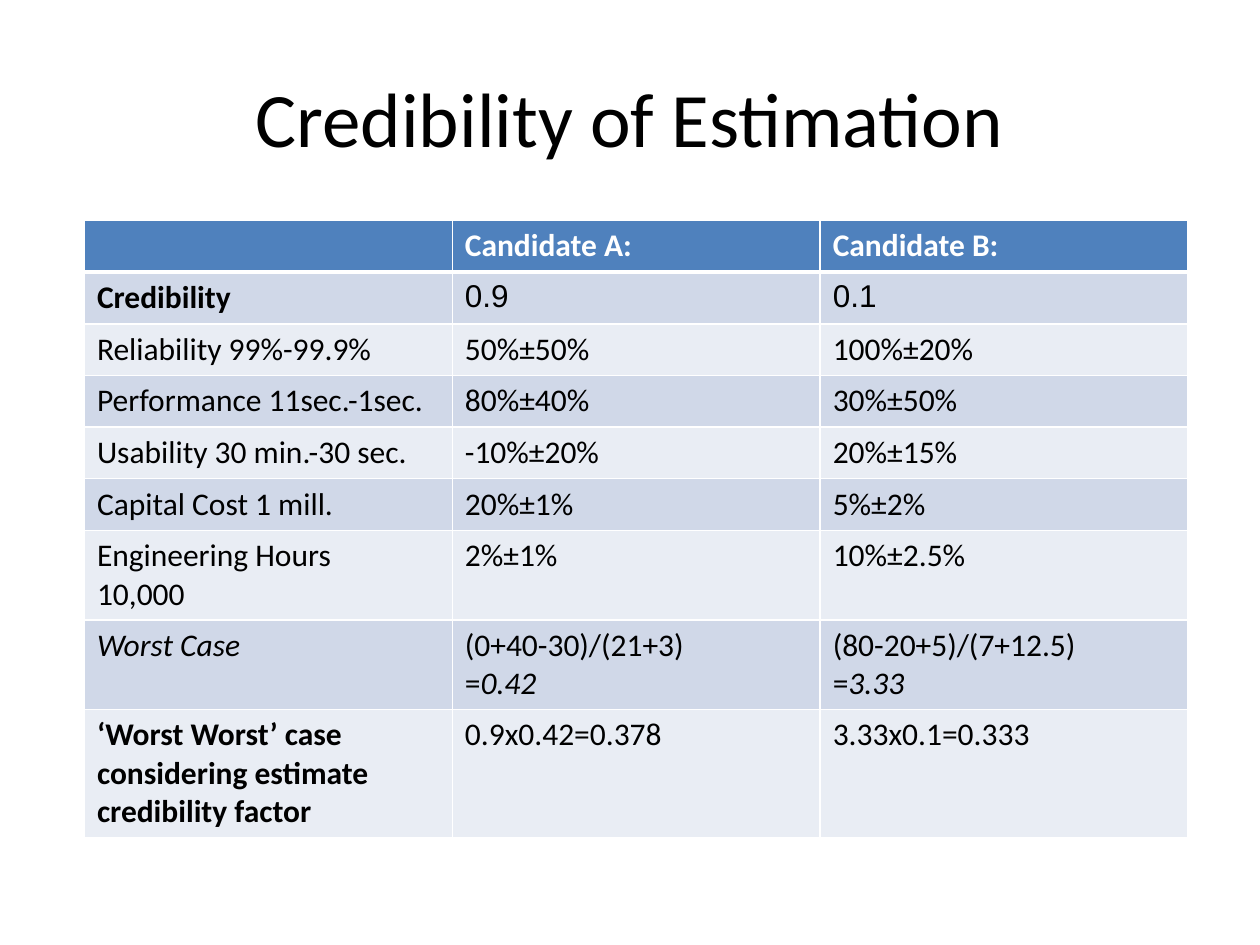
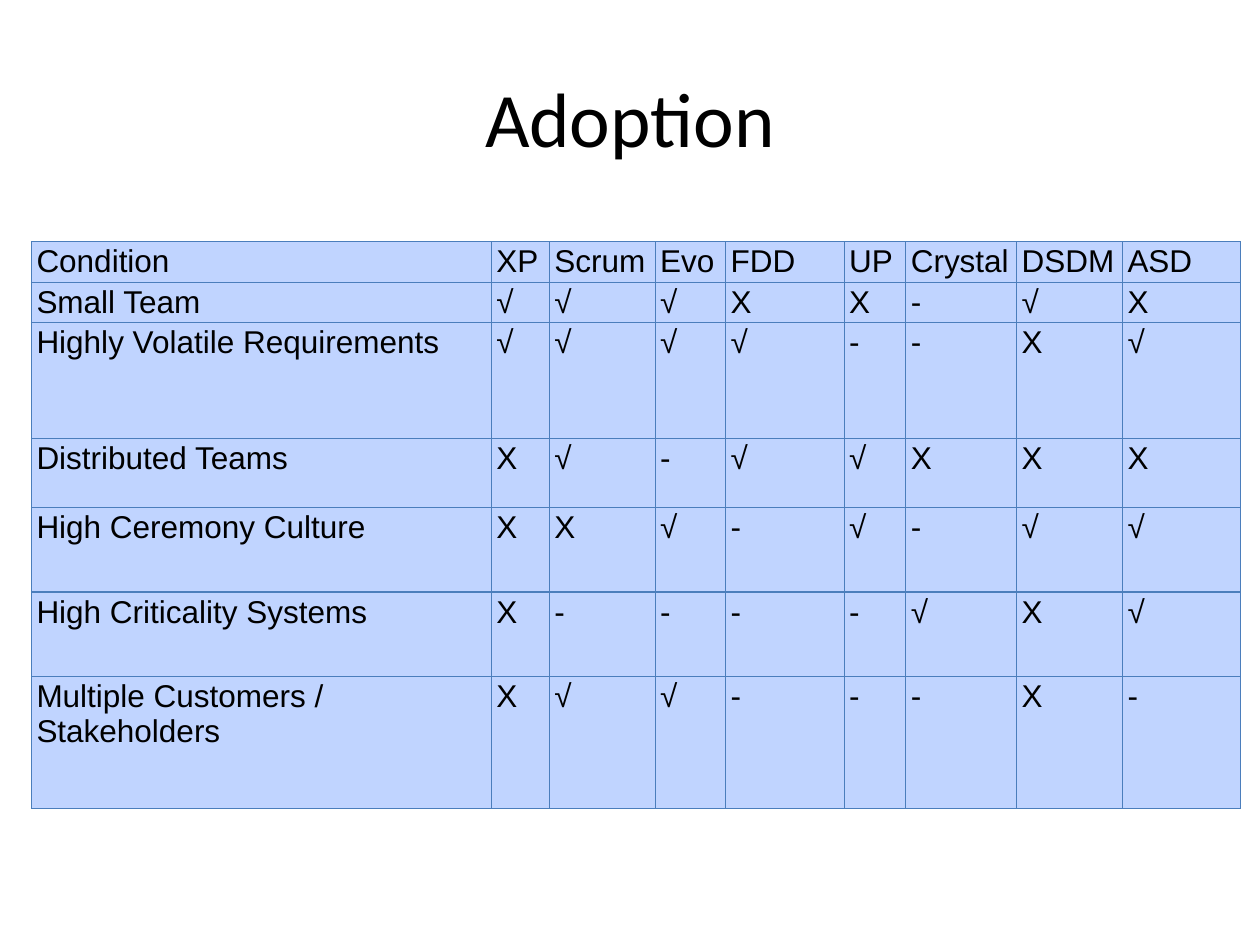
from lxml import etree
from pptx import Presentation
from pptx.dml.color import RGBColor
from pptx.enum import text
from pptx.oxml import ns
from pptx.util import Inches, Pt

HUES = {
    "ink": "000000",
    "white": "FFFFFF",
    "head": "4F81BD",
    "dark": "D0D8E8",
    "light": "E9EDF4",
    "grid": "C0D4FF",
    "line": "4B7EBC",
}
TITLE = {"name": "Calibri", "size": Pt(44)}
SANS = {"name": "Calibri", "size": Pt(18), "bold": False}
ARIAL = {**SANS, "name": "Arial"}
BOLD = {**SANS, "bold": True}

# A line break starts a paragraph, an asterisk turns italics on or off
RATES = [
    ["", "Candidate A:", "Candidate B:"],
    ["Credibility", "0.9", "0.1"],
    ["Reliability 99%-99.9%", "50%±50%", "100%±20%"],
    ["Performance 11sec.-1sec.", "80%±40%", "30%±50%"],
    ["Usability 30 min.-30 sec.", "-10%±20%", "20%±15%"],
    ["Capital Cost 1 mill.", "20%±1%", "5%±2%"],
    ["Engineering Hours\n10,000", "2%±1%", "10%±2.5%"],
    ["*Worst Case", "(0+40-30)/(21+3)\n=*0.42", "(80-20+5)/(7+12.5)\n=*3.33"],
    ["‘Worst Worst’ case\nconsidering estimate\ncredibility factor",
     "0.9x0.42=0.378", "3.33x0.1=0.333"],
]

METHODS = ["XP", "Scrum", "Evo", "FDD", "UP", "Crystal", "DSDM", "ASD"]
MARKS = {
    "Small Team": "√√√XX-√X",
    "Highly Volatile Requirements": "√√√√--X√",
    "Distributed Teams": "X√-√√XXX",
    "High Ceremony Culture": "XX√-√-√√",
    "High Criticality Systems": "X----√X√",
    "Multiple Customers / Stakeholders": "X√√---X-",
}


def style(font, hue, form):
    font.color.rgb = RGBColor.from_string(HUES[hue])
    for key, value in form.items():
        setattr(font, key, value)


def add_page(deck, title):
    page = deck.slides.add_slide(deck.slide_layouts[5])
    head = page.shapes.title
    head.left, head.top = Inches(0.5), Inches(0.3)
    head.width, head.height = Inches(9), Inches(1.25)
    head.text_frame.text = title
    head.text_frame.vertical_anchor = text.MSO_ANCHOR.MIDDLE
    para = head.text_frame.paragraphs[0]
    para.alignment = text.PP_ALIGN.CENTER
    style(para.runs[0].font, "ink", TITLE)
    return page


def add_grid(page, left, top, cols, rows):
    frame = page.shapes.add_table(
        len(rows), len(cols), Inches(left), Inches(top),
        Inches(sum(cols)), Inches(sum(rows)))
    table = frame.table
    table.first_row = table.horz_banding = False
    for col, width in zip(table.columns, cols):
        col.width = Inches(width)
    for row, height in zip(table.rows, rows):
        row.height = Inches(height)
    return table


def edge(cell, hue, **sizes):
    """Draw the four borders; they must precede the cell's fill."""
    props = cell._tc.get_or_add_tcPr()
    for side in "LRTB":
        line = etree.SubElement(props, ns.qn(f"a:ln{side}"), w=str(Pt(sizes[side])))
        fill = etree.SubElement(line, ns.qn("a:solidFill"))
        etree.SubElement(fill, ns.qn("a:srgbClr"), val=HUES[hue])


def paint(cell, hue):
    cell.fill.solid()
    cell.fill.fore_color.rgb = RGBColor.from_string(HUES[hue])


def write(cell, words, hue, form):
    frame = cell.text_frame
    for i, line in enumerate(words.split("\n")):
        para = frame.add_paragraph() if i else frame.paragraphs[0]
        for j, part in enumerate(line.split("*")):
            if part:
                run = para.add_run()
                run.text = part
                style(run.font, hue, {**form, "italic": j % 2 == 1})


def rate_form(r, c):
    if r == 0 or (c == 0 and r in (1, len(RATES) - 1)):
        return BOLD
    return ARIAL if r == 1 else SANS


def add_rates(page):
    table = add_grid(page, 0.67, 1.75, [2.92] * 3, [0.41] * len(RATES))
    for r, row in enumerate(RATES):
        fill = ("light", "dark")[r % 2] if r else "head"
        for c, words in enumerate(row):
            cell = table.cell(r, c)
            # A heavy rule parts the header from the body
            edge(cell, "white", L=1, R=1, T=3 if r == 1 else 1, B=1 if r else 3)
            paint(cell, fill)
            write(cell, words, "ink" if r else "white", rate_form(r, c))


def add_marks(page):
    cols = [3.65, 0.46, 0.84, 0.56, 0.94, 0.49, 0.88, 0.84, 0.94]
    rows = [0.29, 0.29, 0.92, 0.55, 0.67, 0.67, 1.05]
    table = add_grid(page, 0.25, 1.92, cols, rows)
    lines = [["Condition", *METHODS]]
    lines += [[name, *marks] for name, marks in MARKS.items()]
    for r, row in enumerate(lines):
        for c, words in enumerate(row):
            cell = table.cell(r, c)
            cell.margin_left = cell.margin_right = Inches(0.04)
            cell.margin_top = cell.margin_bottom = Inches(0.02)
            edge(cell, "line", **dict.fromkeys("LRTB", 0.75))
            paint(cell, "grid")
            write(cell, words, "ink", ARIAL)


def main():
    deck = Presentation()
    deck.slide_width, deck.slide_height = Inches(10), Inches(7.5)
    add_rates(add_page(deck, "Credibility of Estimation"))
    add_marks(add_page(deck, "Adoption"))
    deck.save("out.pptx")


if __name__ == "__main__":
    main()
